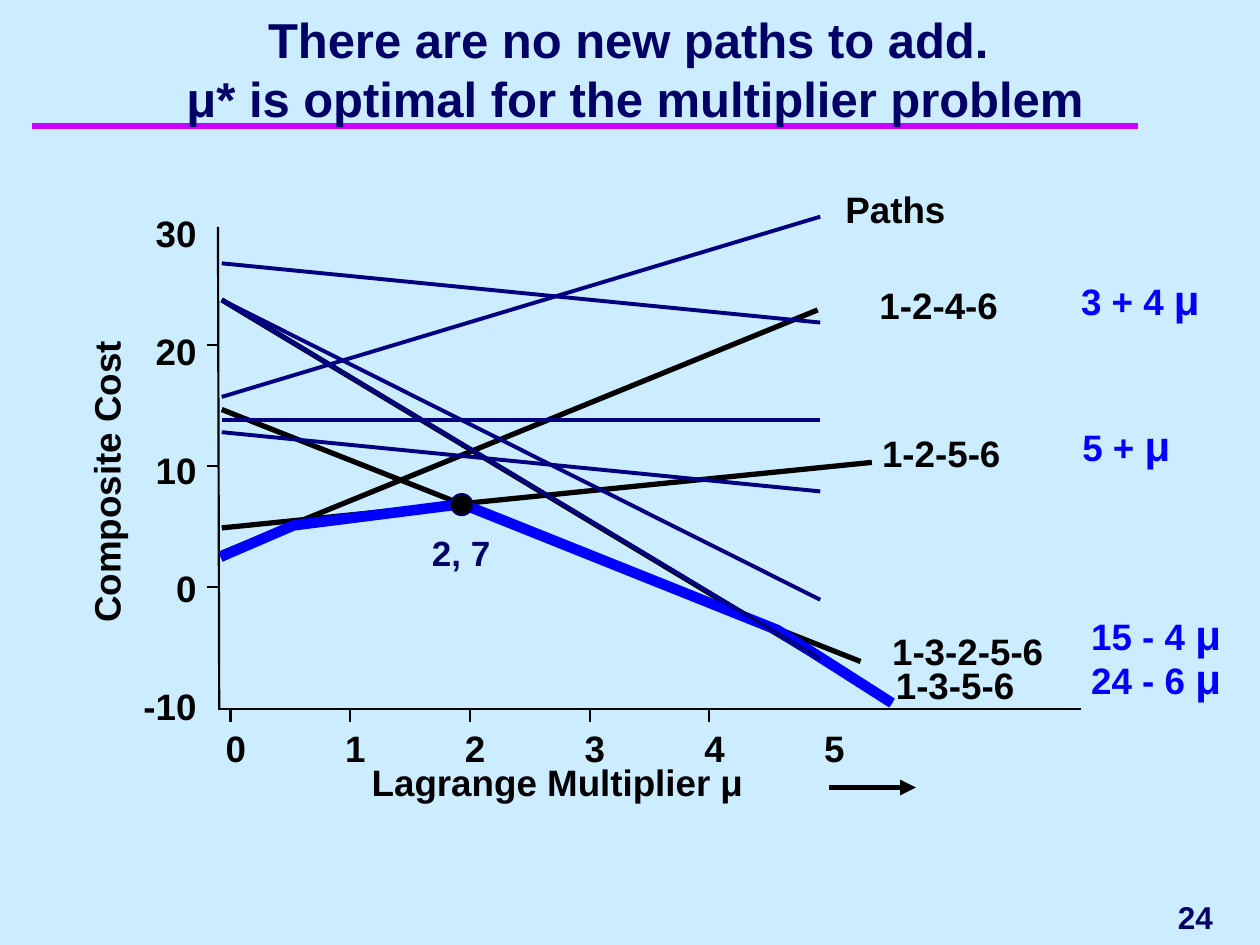
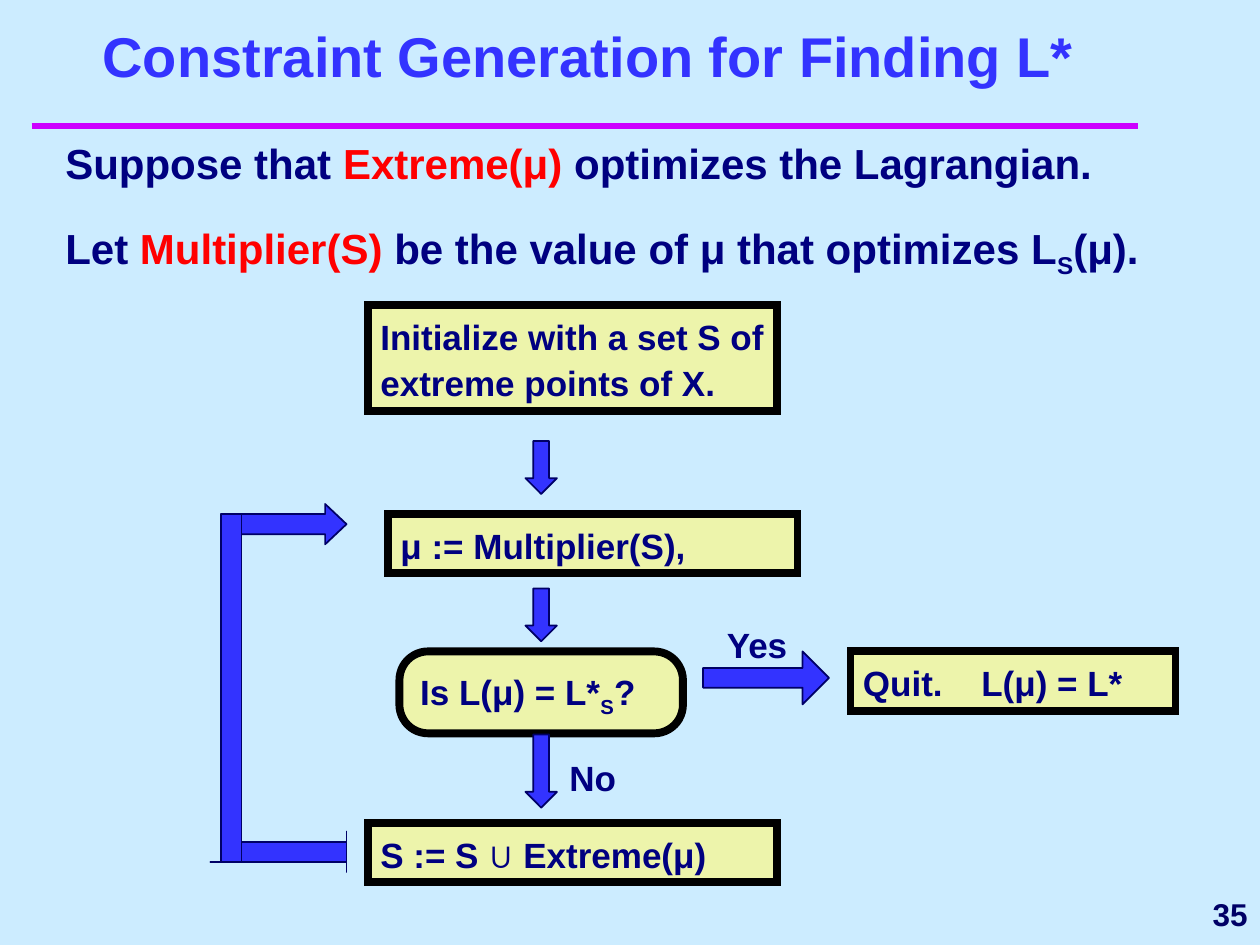
from pptx import Presentation
from pptx.dml.color import RGBColor
from pptx.enum.shapes import MSO_CONNECTOR as Connector, MSO_SHAPE as Shape
from pptx.enum.text import MSO_ANCHOR as Anchor, PP_ALIGN as Align
from pptx.oxml.ns import qn
from pptx.util import Pt
from lxml.etree import SubElement

PX = 9144  # EMU per px, 100 px to the inch
FONT = "Arial"
SKY = RGBColor(0xCC, 0xEC, 0xFF)
MAGENTA = RGBColor(0xCC, 0x00, 0xFF)
BLACK = RGBColor(0x00, 0x00, 0x00)
INK = RGBColor(0x00, 0x00, 0x66)
NAVY = RGBColor(0x00, 0x00, 0x80)
BLUE = RGBColor(0x00, 0x00, 0xFF)
VIOLET = RGBColor(0x33, 0x33, 0xFF)
RED = RGBColor(0xFF, 0x00, 0x00)
CREAM = RGBColor(0xED, 0xF4, 0xAB)


def px(*lengths):
    return [round(length * PX) for length in lengths]


def add_span(para, words, size, color, sub=False):
    span = para.add_run()
    span.text = words
    span.font.name = FONT
    span.font.size = Pt(size)
    span.font.bold = True
    span.font.color.rgb = color
    if sub:
        span.font._element.set("baseline", "-25000")


def fill_para(para, spans, size, color):
    """spans holds words, or (words, changes) pairs."""
    for item in spans:
        words, changes = (item, {}) if isinstance(item, str) else item
        add_span(para, words, **{"size": size, "color": color, **changes})


def set_frame(box, insets=(10, 5, 10, 5), wrap=True, anchor=Anchor.TOP,
              align=Align.LEFT):
    """Prepare the text frame of a box and return its first paragraph."""
    frame = box.text_frame
    (frame.margin_left, frame.margin_top,
     frame.margin_right, frame.margin_bottom) = px(*insets)
    frame.word_wrap = wrap
    frame.vertical_anchor = anchor
    para = frame.paragraphs[0]
    para.alignment = align
    return para


def add_text(page, at, spans, size, color, **options):
    box = page.shapes.add_textbox(*px(*at))
    fill_para(set_frame(box, **options), spans, size, color)
    return box


def add_label(page, x, y, width, spans, color=BLACK, height=35, **options):
    return add_text(page, (x, y, width, height), spans, 21, color,
                    insets=(0, 0, 0, 0), wrap=False, **options)


def add_line(page, start, end, color, width, arrow=False):
    line = page.shapes.add_connector(Connector.STRAIGHT, *px(*start, *end))
    line.line.color.rgb = color
    line.line.width = Pt(width)
    if arrow:
        SubElement(line.line._get_or_add_ln(), qn("a:tailEnd"), type="triangle")
    SubElement(line._element.spPr, qn("a:effectLst"))


def add_solid(page, kind, at, fill, line, width, adjust=()):
    solid = page.shapes.add_shape(kind, *px(*at))
    solid.shadow.inherit = False
    solid.fill.solid()
    solid.fill.fore_color.rgb = fill
    solid.line.color.rgb = line
    solid.line.width = Pt(width)
    for index, value in enumerate(adjust):
        solid.adjustments[index] = value
    return solid


def add_arrow(page, kind, at, shaft=0.5, head=0.5):
    add_solid(page, kind, at, VIOLET, INK, 1, (shaft, head))


def add_step(page, at, spans, kind=Shape.RECTANGLE, adjust=(), tab=None):
    """One box of the flow chart, with sharp corners."""
    step = add_solid(page, kind, at, CREAM, BLACK, 4.5, adjust)
    SubElement(step.line._get_or_add_ln(), qn("a:miter"), lim="800000")
    para = set_frame(step)
    para.line_spacing = 1.1
    if tab:
        stops = SubElement(para._p.get_or_add_pPr(), qn("a:tabLst"))
        SubElement(stops, qn("a:tab"), pos=str(tab * PX), algn="l")
    fill_para(para, spans, 20, NAVY)


def add_sentence(page, at, spans, size):
    box = add_text(page, at, spans, size, NAVY)
    box.text_frame.paragraphs[0].line_spacing = 1.1


def new_page(deck):
    """Blank page with the shared background and title rule."""
    page = deck.slides.add_slide(deck.slide_layouts[6])
    page.background.fill.solid()
    page.background.fill.fore_color.rgb = SKY
    add_line(page, (25, 100), (903, 100), MAGENTA, 4)
    return page


def draw_axes(page):
    def axis_line(start, end):
        add_line(page, start, end, BLACK, 1.25)

    axis_line((173, 180), (174, 563))
    axis_line((173, 563), (858, 563))
    for i in range(3):
        axis_line((164, 274 + 96 * i), (174, 274 + 96 * i))
    for i in range(5):
        axis_line((183 + 95 * i, 573), (183 + 95 * i, 563))
    for i in range(6):
        add_label(page, 179 + 95 * i, 576, 30, [str(i)])
    for i, cost in enumerate(range(30, -20, -10)):
        add_label(page, 86, 167 + 94 * i, 70, [str(cost)], align=Align.RIGHT)
    add_label(page, 295, 603, 330, ["Lagrange Multiplier μ"])
    add_line(page, (658, 625), (727, 625), BLACK, 3, arrow=True)
    add_label(page, -42, 365, 252, ["Composite Cost"],
              align=Align.CENTER).rotation = 270


def build_multiplier_page(deck):
    page = new_page(deck)
    title = add_text(page, (75, 3, 858, 104), ["There are no new paths to add. "],
                     28, INK, align=Align.CENTER)
    para = title.text_frame.paragraphs[0]
    para.add_line_break()
    add_span(para, "μ* is optimal for the multiplier problem", 28, INK)
    draw_axes(page)

    # Lines of the named paths
    for start, end in [((176, 439), (649, 246)), ((176, 238), (708, 558)),
                       ((176, 325), (683, 525)), ((176, 419), (692, 367))]:
        add_line(page, start, end, BLACK, 3)

    # Path names with their composite costs
    add_label(page, 671, 148, 120, ["Paths"])
    for name, x, y, cost, cost_x, cost_y in [
            ("1-2-4-6", 698, 224, "3 + 4 ", 858, 217),
            ("1-2-5-6", 700, 342, "5 + ", 859, 333),
            ("1-3-2-5-6", 708, 499, "15 - 4 ", 866, 483),
            ("1-3-5-6", 711, 526, "24 - 6 ", 866, 518)]:
        add_label(page, x, y, 145, [name])
        add_label(page, cost_x, cost_y, 130,
                  [cost, ("μ", {"size": 24})], BLUE, height=40)

    # Lower envelope
    envelope = [(175, 442), (233, 417), (367, 400), (617, 500), (708, 558)]
    builder = page.shapes.build_freeform(*envelope[0], scale=PX)
    builder.add_line_segments(envelope[1:], close=False)
    curve = builder.convert_to_shape()
    curve.shadow.inherit = False
    curve.fill.background()
    curve.line.color.rgb = BLUE
    curve.line.width = Pt(6)

    # Lines of the remaining paths
    for left, right in [(333, 333), (343, 390), (238, 476),
                        (315, 172), (209, 256), (238, 523)]:
        add_line(page, (176, left), (651, right), NAVY, 2.25)

    # Optimal point and page number
    add_text(page, (333, 417, 125, 44), ["2, 7"], 20, INK)
    add_solid(page, Shape.OVAL, (358, 392, 17, 17), BLACK, INK, 1)
    add_text(page, (925, 708, 67, 40), ["24"], 18, INK)


def build_constraint_page(deck):
    page = new_page(deck)
    add_text(page, (42, 17, 850, 58), ["Constraint Generation for Finding L*"],
             32, VIOLET, anchor=Anchor.BOTTOM, align=Align.CENTER)
    add_text(page, (842, 700, 158, 50), ["35"], 18, INK,
             anchor=Anchor.MIDDLE, align=Align.RIGHT)

    # Definitions
    red, sub = {"color": RED}, {"sub": True}
    add_sentence(page, (42, 100, 925, 54),
                 ["Suppose that ", ("Extreme(μ)", red),
                  " optimizes the Lagrangian."], 24)
    add_sentence(page, (42, 167, 925, 60),
                 ["Let ", ("Multiplier(S)", red),
                  " be the value of μ that optimizes L", ("S", sub), "(μ)."], 24)

    # Steps
    add_step(page, (292, 242, 325, 84),
             ["Initialize with a set S of extreme points of X."])
    add_step(page, (308, 408, 325, 47), ["μ := Multiplier(S),"])
    add_step(page, (317, 517, 225, 65), ["Is L(μ) = L*", ("S", sub), "?"],
             Shape.ROUNDED_RECTANGLE, (0.35,))
    add_step(page, (292, 653, 325, 47), ["S := S ∪ Extreme(μ)"])
    add_step(page, (675, 517, 258, 47), ["Quit.\tL(μ) = L*"], tab=94)

    # Arrows between the steps
    for top, height in [(350, 42), (467, 42), (583, 58)]:
        add_arrow(page, Shape.DOWN_ARROW, (417, top, 25, height))
    add_arrow(page, Shape.RIGHT_ARROW, (558, 517, 100, 42), shaft=0.37)
    add_sentence(page, (567, 487, 92, 47), ["Yes"], 20)
    add_sentence(page, (442, 592, 92, 47), ["No"], 20)

    # Loop back to the multiplier step
    add_arrow(page, Shape.RIGHT_ARROW, (183, 400, 92, 32), head=0.53)
    add_arrow(page, Shape.RIGHT_ARROW, (183, 660, 92, 32), head=0)
    add_arrow(page, Shape.DOWN_ARROW, (167, 408, 33, 276), head=0)


def main():
    deck = Presentation()
    deck.slide_width, deck.slide_height = px(1000, 750)
    build_multiplier_page(deck)
    build_constraint_page(deck)
    deck.save("out.pptx")


if __name__ == "__main__":
    main()
